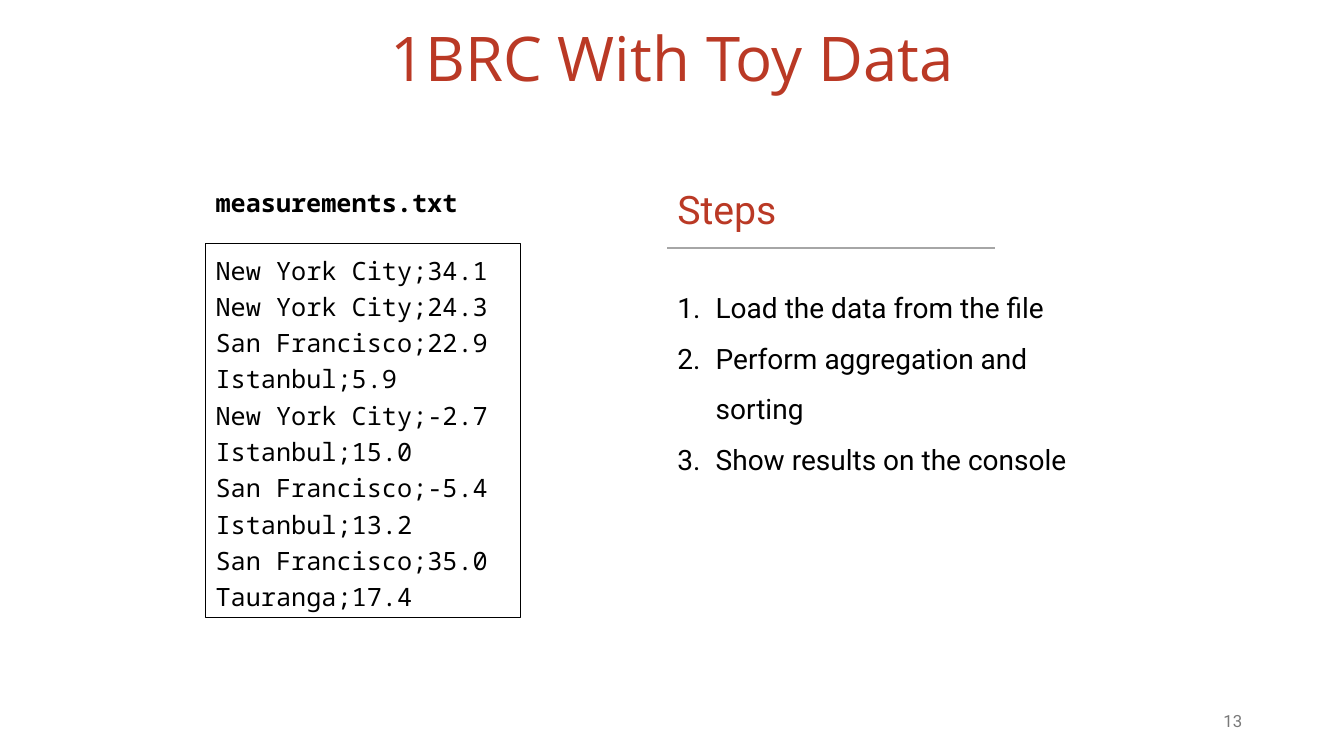
from lxml import etree
from pptx import Presentation
from pptx.dml.color import RGBColor
from pptx.enum.shapes import MSO_CONNECTOR, MSO_SHAPE
from pptx.enum.text import MSO_ANCHOR, PP_ALIGN
from pptx.oxml.ns import qn
from pptx.util import Inches, Pt

LEFT, CENTER, RIGHT = PP_ALIGN.LEFT, PP_ALIGN.CENTER, PP_ALIGN.RIGHT
TOP, MIDDLE = MSO_ANCHOR.TOP, MSO_ANCHOR.MIDDLE
RECTANGLE, STRAIGHT = MSO_SHAPE.RECTANGLE, MSO_CONNECTOR.STRAIGHT

WIDTH, HEIGHT = Inches(13.33), Inches(7.5)
FILE_LEFT, STEPS_LEFT = 15.3, 49.66  # percent of the slide width

RED, BLACK, WHITE, GRAY, RULE_GRAY = "BA3925", "000000", "FFFFFF", "797979", "A6A6A6"
HEADING_FONT, BODY_FONT, CODE_FONT = "Open Sans", "Roboto", "Noto Sans Mono"

MEASUREMENTS = [
    "New York City;34.1",
    "New York City;24.3",
    "San Francisco;22.9",
    "Istanbul;5.9",
    "New York City;-2.7",
    "Istanbul;15.0",
    "San Francisco;-5.4",
    "Istanbul;13.2",
    "San Francisco;35.0",
    "Tauranga;17.4",
]
STEPS = [
    "Load the data from the file",
    "Perform aggregation and sorting",
    "Show results on the console",
]


def color(hex_string):
    return RGBColor.from_string(hex_string)


def across(percent):
    return round(WIDTH * percent / 100)


def down(percent):
    return round(HEIGHT * percent / 100)


def place(left, top, width, height):
    """Turn shares of the slide, in percent, into lengths."""
    return across(left), down(top), across(width), down(height)


def number_paragraph(paragraph):
    properties = paragraph._p.get_or_add_pPr()
    indent = Inches(0.38)
    properties.set("marL", str(indent))
    properties.set("indent", str(-indent))
    etree.SubElement(properties, qn("a:buFont"), typeface="+mj-lt")
    etree.SubElement(properties, qn("a:buAutoNum"), type="arabicPeriod")


def write_lines(shape, lines, font_name, size, text_color, bold=False,
                align=LEFT, anchor=TOP, spacing=1.0, numbered=False):
    frame = shape.text_frame
    frame.word_wrap = True
    frame.vertical_anchor = anchor
    frame.text = "\n".join(lines)
    for paragraph in frame.paragraphs:
        if numbered:
            number_paragraph(paragraph)
        paragraph.alignment = align
        paragraph.line_spacing = spacing
        font = paragraph.font
        font.name, font.size, font.bold = font_name, Pt(size), bold
        font.color.rgb = color(text_color)


def add_text(slide, area, lines, *style, **options):
    write_lines(slide.shapes.add_textbox(*place(*area)), lines, *style, **options)


def add_file_box(slide, area, lines):
    box = slide.shapes.add_shape(RECTANGLE, *place(*area))
    box.shadow.inherit = False
    box.fill.solid()
    box.fill.fore_color.rgb = color(WHITE)
    box.line.color.rgb = color(BLACK)
    box.line.width = Pt(0.75)
    write_lines(box, lines, CODE_FONT, 18, BLACK, spacing=1.2)


def add_rule(slide, left, top, width):
    rule = slide.shapes.add_connector(
        STRAIGHT, across(left), down(top), across(left + width), down(top))
    rule.line.color.rgb = color(RULE_GRAY)
    rule.line.width = Pt(1)
    etree.SubElement(rule._element.spPr, qn("a:effectLst"))


def main():
    presentation = Presentation()
    presentation.slide_width, presentation.slide_height = WIDTH, HEIGHT
    slide = presentation.slides.add_slide(presentation.slide_layouts[6])

    add_text(slide, (6.9, 2.53, 86.27, 11.33), ["1BRC With Toy Data"],
             HEADING_FONT, 44, RED, align=CENTER, anchor=MIDDLE, spacing=0.9)
    add_text(slide, (70.67, 92.67, 22.5, 5.33), ["13"],
             BODY_FONT, 12, GRAY, align=RIGHT, anchor=MIDDLE)

    add_file_box(slide, (FILE_LEFT, 32.27, 23.4, 49.47), MEASUREMENTS)
    add_text(slide, (FILE_LEFT, 24.13, 25.5, 5.33), ["measurements.txt"],
             CODE_FONT, 18, BLACK, bold=True)

    add_text(slide, (STEPS_LEFT, 23.87, 42.16, 7.6), ["Steps"], BODY_FONT, 28, RED)
    add_rule(slide, STEPS_LEFT, 32.8, 24.38)
    add_text(slide, (STEPS_LEFT, 35.6, 33.76, 20.93), STEPS,
             BODY_FONT, 20, BLACK, spacing=1.5, numbered=True)

    presentation.save("out.pptx")


if __name__ == "__main__":
    main()
